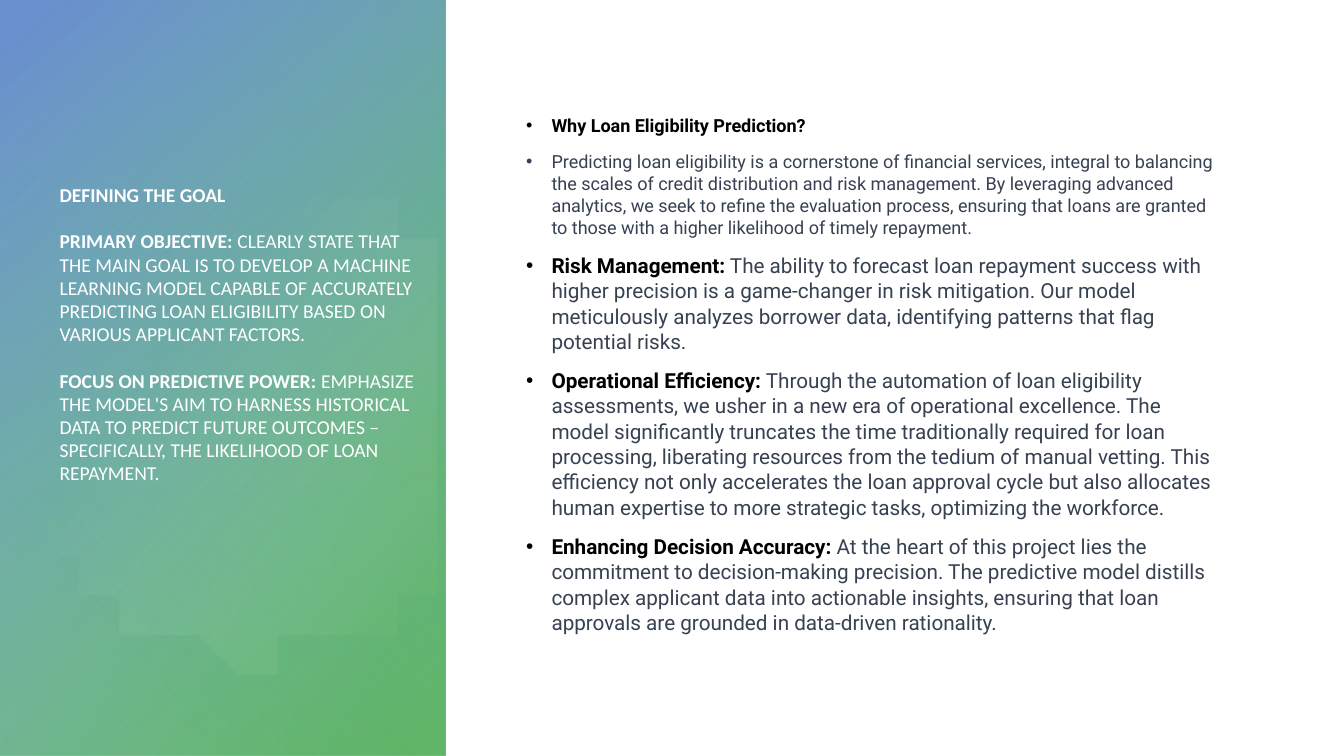
from lxml.etree import SubElement
from pptx import Presentation
from pptx.enum.shapes import MSO_SHAPE
from pptx.enum.text import MSO_ANCHOR, MSO_AUTO_SIZE, PP_ALIGN
from pptx.dml.color import RGBColor
from pptx.oxml.ns import qn
from pptx.util import Cm, Pt

COLORS = {
    "white": "FFFFFF", "black": "000000", "slate": "374151",
    "green": "62B65E", "sage": "68B484", "teal": "5DB4A2",
    "blue": "6A90CE", "mist": "DFF0EC",
}


def add_text(para, text, font, size, color, bold=False):
    span = para.add_run()
    span.text = text
    span.font.name = font
    span.font.size = Pt(size)
    span.font.bold = bold
    span.font.color.rgb = RGBColor.from_string(COLORS[color])


def paint_gradient(shape, stops, angle):
    """Fill with (position %, colour, opacity %) stops along a clockwise angle."""
    shape.shadow.inherit = False
    shape.line.fill.background()
    shape.fill.gradient()
    gradient = shape._element.spPr.find(qn("a:gradFill"))
    gradient.set("rotWithShape", "1")
    stop_list = gradient.find(qn("a:gsLst"))
    for stop in list(stop_list):
        stop_list.remove(stop)
    for position, color, opacity in stops:
        stop = SubElement(stop_list, qn("a:gs"), pos=str(position * 1000))
        tint = SubElement(stop, qn("a:srgbClr"), val=COLORS[color])
        SubElement(tint, qn("a:alpha"), val=str(opacity * 1000))
    gradient.find(qn("a:lin")).set("ang", str(angle * 60000))


deck = Presentation()
deck.slide_width, deck.slide_height = Cm(33.87), Cm(19.05)
page = deck.slides.add_slide(deck.slide_layouts[5])

# Left panel: layered gradients on mirrored rectangles turned by 90 degrees
PANEL_WIDTH, PANEL_HEIGHT = 11.23, 19.05
panel_layers = [
    (0, PANEL_HEIGHT, [(8, "green", 100), (100, "sage", 72)], 60),
    (0, PANEL_HEIGHT, [(0, "teal", 0), (96, "blue", 100)], 40),
    (12.24, 6.81, [(2, "sage", 35), (67, "teal", 0)], 130),
]
for top, height, stops, angle in panel_layers:
    shift = (PANEL_WIDTH - height) / 2
    layer = page.shapes.add_shape(MSO_SHAPE.RECTANGLE, Cm(shift), Cm(top - shift),
                                  Cm(height), Cm(PANEL_WIDTH))
    layer.rotation = 90
    layer._element.spPr.find(qn("a:xfrm")).set("flipH", "1")
    paint_gradient(layer, stops, angle)

# Translucent disc, cut off at the panel edge; a pair is a line, a triple a curve
disc_start = (6.27, 4.37)
disc_segments = [
    [(6.65, 4.37), (7.09, 4.4), (7.49, 4.5)],
    [(8.94, 4.78), (10.13, 5.56), (11, 6.63)],
    [(11.23, 6.93)],
    [(11.23, 13.97)],
    [(10.92, 14.38)],
    [(9.53, 16.03), (7.29, 16.89), (5.03, 16.41)],
    [(1.73, 15.72), (-0.38, 12.52), (0.3, 9.22)],
    [(0.89, 6.35), (3.43, 4.34), (6.27, 4.37)],
]
CURVE_STEPS = 24
outline = []
current = disc_start
for segment in disc_segments:
    if len(segment) == 1:
        outline.append(segment[0])
    else:
        for step in range(1, CURVE_STEPS + 1):
            t = step / CURVE_STEPS
            weights = ((1 - t) ** 3, 3 * t * (1 - t) ** 2, 3 * t * t * (1 - t), t ** 3)
            controls = [current, *segment]
            outline.append(tuple(sum(w * point[axis] for w, point in zip(weights, controls))
                                 for axis in (0, 1)))
    current = segment[-1]
builder = page.shapes.build_freeform(*disc_start, scale=Cm(1))
builder.add_line_segments(outline, close=True)
disc = builder.convert_to_shape()
paint_gradient(disc, [(39, "mist", 0), (100, "green", 29)], 40)

# Title on the panel
title = page.shapes.title
title._element.getparent().append(title._element)
body = page.shapes.add_textbox(Cm(13.26), Cm(2.87), Cm(17.42), Cm(13.46))
title.left, title.top, title.width, title.height = Cm(1.5), Cm(3.84), Cm(9.02), Cm(8.38)
for box, anchor in ((title, MSO_ANCHOR.BOTTOM), (body, MSO_ANCHOR.TOP)):
    frame = box.text_frame
    frame.word_wrap = True
    frame.auto_size = MSO_AUTO_SIZE.NONE
    frame.vertical_anchor = anchor
    frame.margin_left = frame.margin_right = frame.margin_top = frame.margin_bottom = 0

goals = [
    ("DEFINING THE GOAL", ""),
    ("PRIMARY OBJECTIVE: ",
     "CLEARLY STATE THAT THE MAIN GOAL IS TO DEVELOP A MACHINE LEARNING MODEL CAPABLE OF "
     "ACCURATELY PREDICTING LOAN ELIGIBILITY BASED ON VARIOUS APPLICANT FACTORS."),
    ("FOCUS ON PREDICTIVE POWER: ",
     "EMPHASIZE THE MODEL'S AIM TO HARNESS HISTORICAL DATA TO PREDICT FUTURE OUTCOMES – "
     "SPECIFICALLY, THE LIKELIHOOD OF LOAN REPAYMENT."),
]
for index, (lead, detail) in enumerate(goals):
    para = title.text_frame.add_paragraph() if index else title.text_frame.paragraphs[0]
    para.alignment = PP_ALIGN.LEFT
    para.line_spacing = 0.98
    para.space_before = Pt(17 if index else 0)
    add_text(para, lead, "Calibri", 14, "white", bold=True)
    if detail:
        add_text(para, detail, "Calibri", 14, "white")

# Bulleted reasons
reasons = [
    (12.9, "Why Loan Eligibility Prediction?", ""),
    (12.9, "",
     "Predicting loan eligibility is a cornerstone of financial services, integral to balancing "
     "the scales of credit distribution and risk management. By leveraging advanced analytics, "
     "we seek to refine the evaluation process, ensuring that loans are granted to those with a "
     "higher likelihood of timely repayment."),
    (14.8, "Risk Management:",
     " The ability to forecast loan repayment success with higher precision is a game-changer in "
     "risk mitigation. Our model meticulously analyzes borrower data, identifying patterns that "
     "flag potential risks."),
    (14.8, "Operational Efficiency:",
     " Through the automation of loan eligibility assessments, we usher in a new era of "
     "operational excellence. The model significantly truncates the time traditionally required "
     "for loan processing, liberating resources from the tedium of manual vetting. This "
     "efficiency not only accelerates the loan approval cycle but also allocates human expertise "
     "to more strategic tasks, optimizing the workforce."),
    (14.8, "Enhancing Decision Accuracy:",
     " At the heart of this project lies the commitment to decision-making precision. The "
     "predictive model distills complex applicant data into actionable insights, ensuring that "
     "loan approvals are grounded in data-driven rationality."),
]
for index, (size, lead, detail) in enumerate(reasons):
    para = body.text_frame.add_paragraph() if index else body.text_frame.paragraphs[0]
    para.space_before = Pt(10)
    para.line_spacing = 1.02
    properties = para._p.get_or_add_pPr()
    properties.set("marL", str(Cm(0.64)))
    properties.set("indent", str(-Cm(0.64)))
    SubElement(properties, qn("a:buFont"), typeface="Arial")
    SubElement(properties, qn("a:buChar"), char="•")
    if lead:
        add_text(para, lead, "Roboto", size, "black", bold=True)
    if detail:
        add_text(para, detail, "Roboto", size, "slate")

deck.save("out.pptx")
